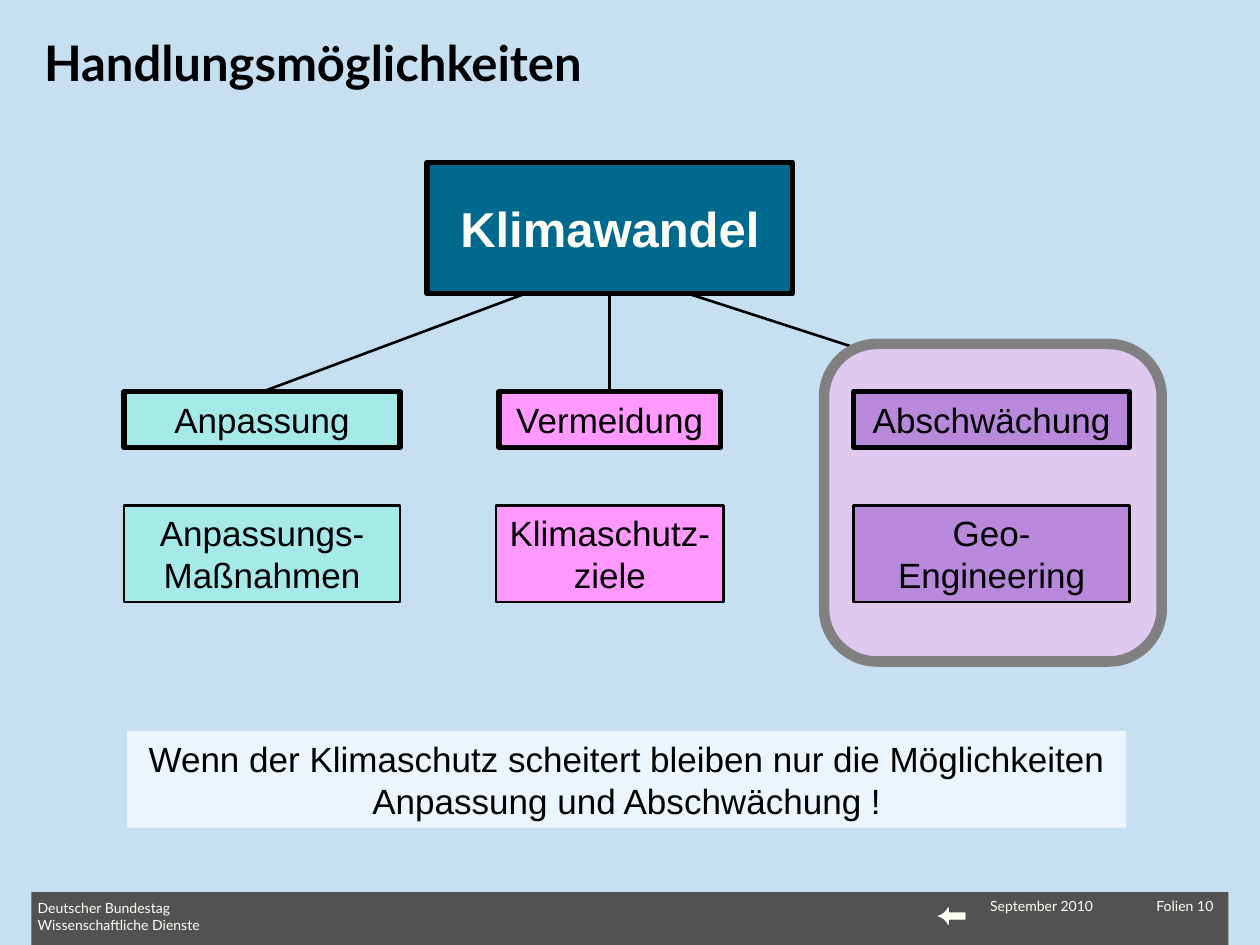
from lxml import etree
from pptx import Presentation
from pptx.dml.color import RGBColor
from pptx.enum import shapes, text
from pptx.oxml.ns import qn
from pptx.util import Inches, Pt

BACKGROUND = RGBColor(0xC6, 0xE0, 0xF2)
BLACK = RGBColor(0, 0, 0)
IVORY = RGBColor(0xFF, 0xFF, 0xF7)
BAR = RGBColor(0x52, 0x52, 0x52)
BLUE = RGBColor(0x00, 0x69, 0x8E)
TURQUOISE = RGBColor(0xA5, 0xE9, 0xE9)
PINK = RGBColor(0xFF, 0x99, 0xFF)
PURPLE = RGBColor(0xB8, 0x89, 0xDB)
LILAC = RGBColor(0xDF, 0xC9, 0xEF)
GREY = RGBColor(0x80, 0x80, 0x80)
PALE = RGBColor(0xEB, 0xF5, 0xFB)

LEFT, CENTER, RIGHT = text.PP_ALIGN.LEFT, text.PP_ALIGN.CENTER, text.PP_ALIGN.RIGHT
TOP, MIDDLE = text.MSO_ANCHOR.TOP, text.MSO_ANCHOR.MIDDLE
RECTANGLE = shapes.MSO_SHAPE.RECTANGLE
LABEL = {"name": "Arial", "size": Pt(20), "bold": False}
HEADING = {"name": "Arial", "size": Pt(28), "bold": True}
TITLE = {"name": "Lato", "size": Pt(28), "bold": True}
SMALL = {"name": "Lato", "size": Pt(8), "bold": False}
ARROW = {"name": "Arial", "size": Pt(18), "bold": False}

# text of head box, text of lower box, colour, centre, head width, lower width, line start
BRANCHES = [
    ("Anpassung", "Anpassungs-Maßnahmen", TURQUOISE, 2.08, 2.19, 2.19, 4.17),
    ("Vermeidung", "Klimaschutz-ziele", PINK, 4.84, 1.76, 1.81, 4.84),
    ("Abschwächung", "Geo-Engineering", PURPLE, 7.87, 2.19, 2.19, 5.46),
]


def write(shape, lines, style, color, align=LEFT, anchor=TOP, wrap=True):
    frame = shape.text_frame
    frame.word_wrap = wrap
    frame.vertical_anchor = anchor
    frame.text = "\n".join(lines)
    for para in frame.paragraphs:
        para.alignment = align
        for span in para.runs:
            span.font.color.rgb = color
            for key, value in style.items():
                setattr(span.font, key, value)


def add_box(page, box, fill, line=None, weight=0, kind=RECTANGLE):
    shape = page.shapes.add_shape(kind, *map(Inches, box))
    shape.shadow.inherit = False
    shape.fill.solid()
    shape.fill.fore_color.rgb = fill
    if line is None:
        shape.line.fill.background()
    else:
        shape.line.color.rgb = line
        shape.line.width = Pt(weight)
    return shape


def add_line(page, start, end):
    line = page.shapes.add_connector(
        shapes.MSO_CONNECTOR.STRAIGHT, *map(Inches, (*start, *end)))
    line.line.color.rgb = BLACK
    line.line.width = Pt(1.5)
    etree.SubElement(line._element.spPr, qn("a:effectLst"))
    return line


def add_label(page, box, *content, **options):
    write(page.shapes.add_textbox(*map(Inches, box)), *content, **options)


def add_title(page, box):
    title = page.shapes.title
    title.left, title.top, title.width, title.height = map(Inches, box)
    write(title, ["Handlungsmöglichkeiten"], TITLE, BLACK)


def add_footer(page, box):
    left, top, width, height = box
    add_box(page, box, BAR)
    add_label(page, (left + 7.08, top - 0.03, 0.42, 0.4), ["⬅"], ARROW, IVORY, wrap=False)
    add_label(page, (left - 0.05, top + 0.01, 4.41, 0.37),
              ["Deutscher Bundestag", "Wissenschaftliche Dienste"], SMALL, IVORY)
    add_label(page, (left + 7.51, top - 0.01, 1.18, 0.22), ["September 2010"], SMALL, IVORY)
    add_label(page, (left + 8.53, top - 0.01, 0.95, 0.22), ["Folien 10"], SMALL, IVORY,
              align=RIGHT)


def add_tree(page, root_box, branch_top):
    """Root box, the lines below it, and a head and a lower box per branch."""
    left, top, width, height = root_box
    bottom = top + height
    lines = [add_line(page, (start, bottom), (center, branch_top))
             for *_, center, _, _, start in BRANCHES]
    add_box(page, (6.54, branch_top - 0.38, 2.68, 2.52), LILAC, GREY, 6,
            shapes.MSO_SHAPE.ROUNDED_RECTANGLE)
    root = add_box(page, root_box, BLUE, BLACK, 3)
    write(root, ["Klimawandel"], HEADING, IVORY, CENTER, MIDDLE)
    lines[1].begin_connect(root, 2)
    for line, (head, lower, fill, center, head_width, lower_width, _) in zip(lines, BRANCHES):
        head_box = add_box(page, (center - head_width / 2, branch_top, head_width, 0.44),
                           fill, BLACK, 3)
        write(head_box, [head], LABEL, BLACK, CENTER, MIDDLE)
        line.end_connect(head_box, 0)
        lower_box = add_box(page, (center - lower_width / 2, branch_top + 0.9,
                                   lower_width, 0.77), fill, BLACK, 1.5)
        write(lower_box, [lower], LABEL, BLACK, CENTER, MIDDLE)


def add_conclusion(page, box):
    write(add_box(page, box, PALE),
          ["Wenn der Klimaschutz scheitert bleiben nur die Möglichkeiten",
           "Anpassung und Abschwächung !"], LABEL, BLACK, CENTER, MIDDLE, wrap=False)


def main():
    deck = Presentation()
    deck.slide_width, deck.slide_height = Inches(10), Inches(7.5)
    page = deck.slides.add_slide(deck.slide_layouts[5])
    page.background.fill.solid()
    page.background.fill.fore_color.rgb = BACKGROUND
    add_footer(page, (0.25, 7.08, 9.5, 0.42))
    add_title(page, (0.25, 0.21, 5.69, 1.02))
    add_tree(page, (3.39, 1.29, 2.9, 1.04), 3.11)
    add_conclusion(page, (1.01, 5.8, 7.93, 0.77))
    deck.save("out.pptx")


if __name__ == "__main__":
    main()
